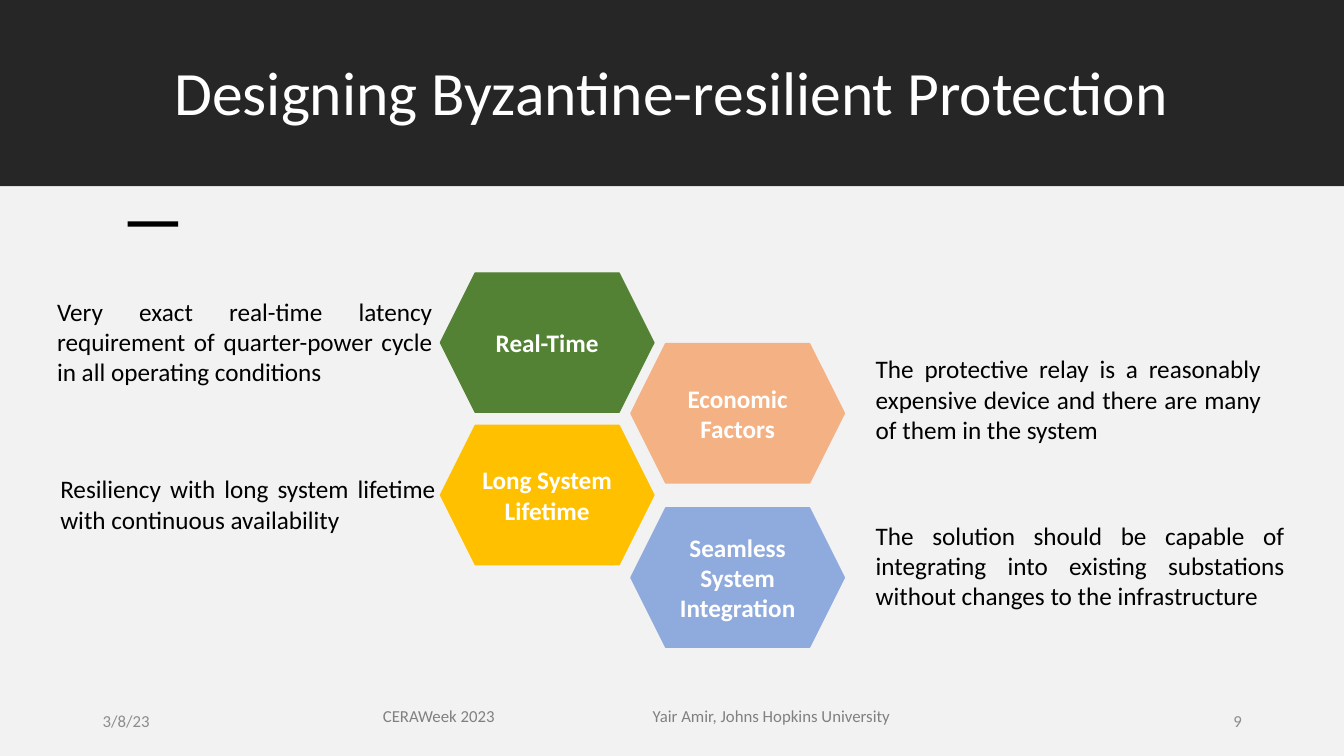
from lxml.etree import SubElement
from pptx import Presentation
from pptx.dml.color import RGBColor
from pptx.enum.shapes import MSO_SHAPE as Shape
from pptx.enum.text import MSO_ANCHOR as Anchor, MSO_AUTO_SIZE as AutoSize, PP_ALIGN as Align
from pptx.oxml.ns import qn
from pptx.util import Cm, Pt

# Colours
CHARCOAL = RGBColor(0x26, 0x26, 0x26)
PALE = RGBColor(0xF2, 0xF2, 0xF2)
BLACK = RGBColor(0, 0, 0)
WHITE = RGBColor(0xFF, 0xFF, 0xFF)
GREEN = RGBColor(0x54, 0x82, 0x35)
ORANGE = RGBColor(0xF4, 0xB1, 0x83)
YELLOW = RGBColor(0xFF, 0xC0, 0x00)
BLUE = RGBColor(0x8F, 0xAA, 0xDC)
DATE_GREY = RGBColor(0x8C, 0x8C, 0x8C)
FOOTER_GREY = RGBColor(0x80, 0x80, 0x80)

# Measures in centimetres
PAGE_WIDTH, PAGE_HEIGHT = 33.87, 19.05
BAND_HEIGHT = 4.7
HEX_WIDTH, HEX_HEIGHT = 5.38, 3.51
LEFT_HEX, RIGHT_HEX = 11.1, 15.9
FOOTER_TOP, FOOTER_HEIGHT = 17.65, 1.02


class SlideBuilder:
    font_name = "Calibri"

    def __init__(self, page):
        self.page = page

    def fill_text(self, frame, text, size, color, align=Align.LEFT, anchor=Anchor.TOP,
                  bold=False, spacing=None, tab=None):
        frame_format = {"word_wrap": True, "auto_size": AutoSize.NONE,
                        "vertical_anchor": anchor}
        for name, value in frame_format.items():
            setattr(frame, name, value)
        para = frame.paragraphs[0]
        para.alignment = align
        if spacing:
            para.line_spacing = spacing
        if tab:
            tabs = SubElement(para._p.get_or_add_pPr(), qn("a:tabLst"))
            SubElement(tabs, qn("a:tab"), pos=str(Cm(tab)), algn="l")
        span = para.add_run()
        span.text = text
        font_format = {"name": self.font_name, "size": Pt(size), "bold": bold}
        for name, value in font_format.items():
            setattr(span.font, name, value)
        span.font.color.rgb = color

    def shape(self, kind, left, top, width, height, color, outlined=False):
        shape = self.page.shapes.add_shape(kind, Cm(left), Cm(top), Cm(width), Cm(height))
        shape.shadow.inherit = False
        shape.fill.solid()
        shape.fill.fore_color.rgb = color
        if outlined:
            shape.line.color.rgb = color
            shape.line.width = Pt(1)
        else:
            shape.line.fill.background()
        return shape

    def title(self, text, left, top, width, height):
        title = self.page.shapes.title
        place = {"left": left, "top": top, "width": width, "height": height}
        for name, value in place.items():
            setattr(title, name, Cm(value))
        # Bring the title in front of the band
        self.page.shapes._spTree.append(title._element)
        self.fill_text(title.text_frame, text, 44, WHITE, Align.CENTER, spacing=0.9)

    def hexagon(self, text, left, top, color):
        hexagon = self.shape(Shape.HEXAGON, left, top, HEX_WIDTH, HEX_HEIGHT, color, True)
        self.fill_text(hexagon.text_frame, text, 18, WHITE, Align.CENTER, Anchor.MIDDLE, True)

    def text(self, text, left, top, width, height, size, color, **style):
        box = self.page.shapes.add_textbox(Cm(left), Cm(top), Cm(width), Cm(height))
        self.fill_text(box.text_frame, text, size, color, **style)


def main():
    deck = Presentation()
    deck.slide_width, deck.slide_height = Cm(PAGE_WIDTH), Cm(PAGE_HEIGHT)
    builder = SlideBuilder(deck.slides.add_slide(deck.slide_layouts[5]))

    # Title band, body panel and accent dash
    builder.shape(Shape.RECTANGLE, 0, 0, PAGE_WIDTH, BAND_HEIGHT, CHARCOAL)
    builder.title("Designing Byzantine-resilient Protection", 3.2, 1.45, 27.46, 2.49)
    builder.shape(Shape.RECTANGLE, 0, BAND_HEIGHT, PAGE_WIDTH, PAGE_HEIGHT - BAND_HEIGHT, PALE)
    builder.shape(Shape.RECTANGLE, 3.22, 5.58, 1.27, 0.13, BLACK)

    # Requirement hexagons
    for label, left, top, color in (
        ("Real-Time", LEFT_HEX, 6.88, GREEN),
        ("Economic Factors", RIGHT_HEX, 8.66, ORANGE),
        ("Long System Lifetime", LEFT_HEX, 10.72, YELLOW),
        ("Seamless System Integration", RIGHT_HEX, 12.8, BLUE),
    ):
        builder.hexagon(label, left, top, color)

    # Explanations beside the hexagons
    for note, left, top, width, height in (
        ("Very exact real-time latency requirement of quarter-power cycle "
         "in all operating conditions", 1.19, 7.34, 9.96, 2.57),
        ("The protective relay is a reasonably expensive device and there are many "
         "of them in the system", 21.82, 8.79, 10.21, 2.57),
        ("Resiliency with long system lifetime with continuous availability",
         1.27, 11.81, 9.96, 1.8),
        ("The solution should be capable of integrating into existing substations "
         "without changes to the infrastructure", 21.82, 12.98, 10.8, 2.57),
    ):
        builder.text(note, left, top, width, height, 18, BLACK, align=Align.JUSTIFY)

    # Footer: date, page number, event and speaker
    builder.text("3/8/23", 2.34, FOOTER_TOP, 5.77, FOOTER_HEIGHT, 12, DATE_GREY,
                 anchor=Anchor.MIDDLE)
    builder.text("9", 26.19, FOOTER_TOP, 5.36, FOOTER_HEIGHT, 12, DATE_GREY,
                 align=Align.RIGHT, anchor=Anchor.MIDDLE)
    builder.text("CERAWeek 2023\tYair Amir, Johns Hopkins University", 9.4, FOOTER_TOP,
                 16.38, FOOTER_HEIGHT, 12, FOOTER_GREY, tab=6.8)

    deck.save("out.pptx")


if __name__ == "__main__":
    main()
